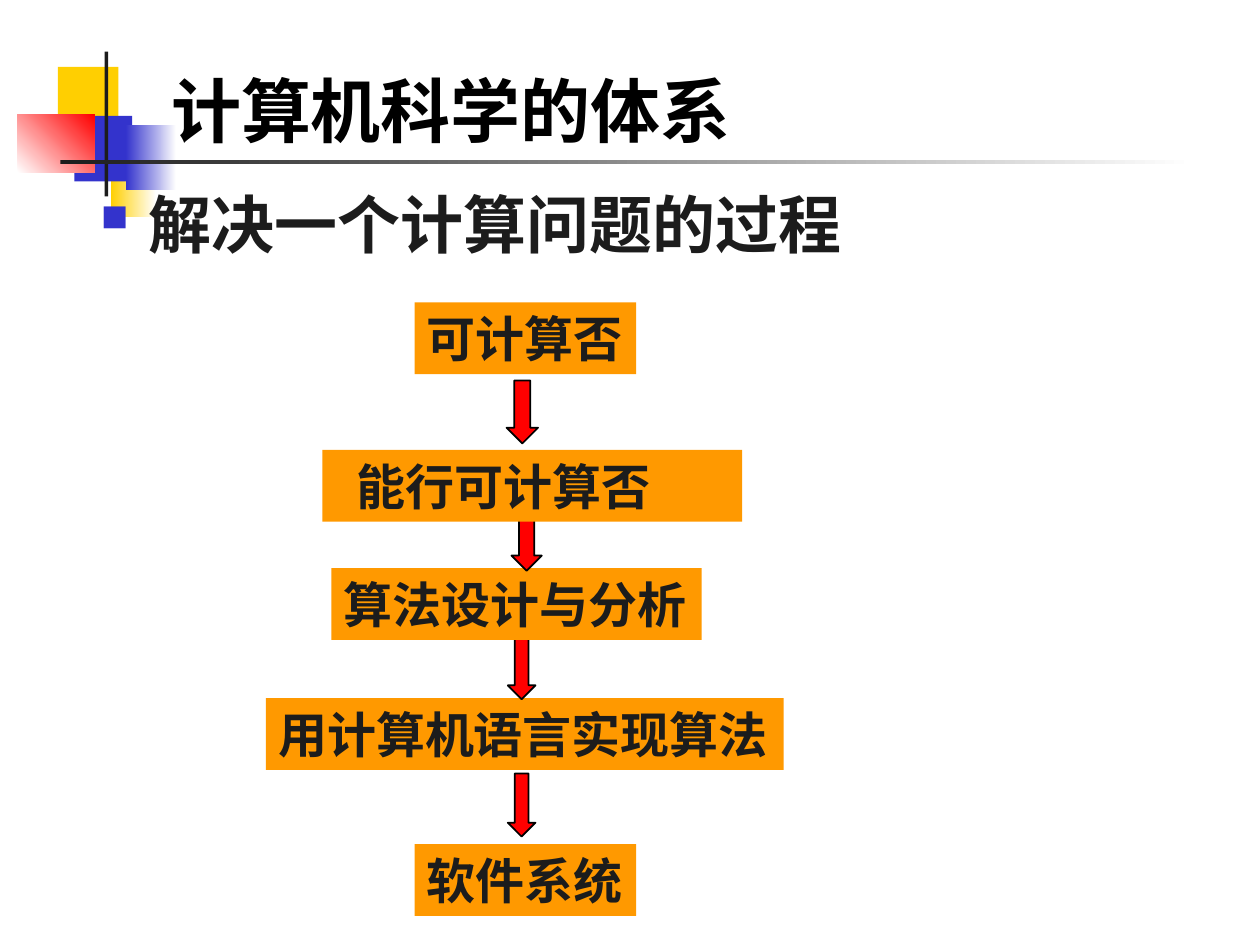
"""Build a slide showing the steps of solving a computing problem."""
from lxml.etree import SubElement
from pptx import Presentation
from pptx.dml.color import RGBColor
from pptx.enum.shapes import MSO_SHAPE
from pptx.enum.text import MSO_ANCHOR, PP_ALIGN
from pptx.oxml.ns import qn
from pptx.util import Inches, Pt

BLACK = RGBColor(0x00, 0x00, 0x00)
INK = RGBColor(0x1C, 0x1C, 0x1C)
WHITE = RGBColor(0xFF, 0xFF, 0xFF)
YELLOW = RGBColor(0xFF, 0xCF, 0x01)
BLUE = RGBColor(0x33, 0x33, 0xCC)
RED = RGBColor(0xFF, 0x00, 0x00)
ORANGE = RGBColor(0xFF, 0x99, 0x00)
COLUMNS = 100

deck = Presentation()
deck.slide_width, deck.slide_height = Inches(10), Inches(7.5)
page = deck.slides.add_slide(deck.slide_layouts[6])
unit = deck.slide_width // COLUMNS


def add_block(kind, column, row, width, height, start, end=None, angle=0):
    cells = [round(value * unit) for value in (column, row, width, height)]
    block = page.shapes.add_shape(kind, *cells)
    block.shadow.inherit = False
    block.line.fill.background()
    if end is None:
        block.fill.solid()
        block.fill.fore_color.rgb = start
    else:
        block.fill.gradient()
        block.fill.gradient_angle = angle
        for stop, color in zip(block.fill.gradient_stops, (start, end)):
            stop.color.rgb = color
    return block


def write(box, text, size, font, color, align=PP_ALIGN.LEFT):
    box.text_frame.word_wrap = True
    para = box.text_frame.paragraphs[0]
    para.text = text
    para.alignment = align
    para.font.size, para.font.bold = Pt(size), True
    para.font.name, para.font.color.rgb = font, color


ornaments = [
    (4.6, 5.3, 4.8, 5.2, YELLOW),
    (8.8, 12, 3.6, 5.2, YELLOW, WHITE),
    (5.9, 9.2, 4.6, 5.2, BLUE),
    (10, 9.9, 4, 5.2, BLUE, WHITE),
    (1.4, 9.1, 6.1, 4.6, WHITE, RED, 45),
    (8.3, 4.1, 0.3, 11.5, INK),
    (4.8, 12.7, 90, 0.35, INK, WHITE),
]
for ornament in ornaments:
    add_block(MSO_SHAPE.RECTANGLE, *ornament)

title = page.shapes.add_textbox(round(12.6 * unit), 0, round(85.2 * unit), round(12.5 * unit))
title.text_frame.vertical_anchor = MSO_ANCHOR.BOTTOM
write(title, "计算机科学的体系", 40, "Karla", BLACK)

body = page.shapes.add_textbox(7 * unit, round(14.2 * unit), round(90.9 * unit), round(52.9 * unit))
properties = body.text_frame.paragraphs[0]._p.get_or_add_pPr()
properties.set("marL", str(round(3.8 * unit)))
properties.set("indent", str(round(-3.8 * unit)))
bullet_color = SubElement(properties, qn("a:buClr"))
SubElement(bullet_color, qn("a:srgbClr"), val=str(BLUE))
SubElement(properties, qn("a:buSzPct"), val="60000")
SubElement(properties, qn("a:buChar"), char="■")
write(body, "解决一个计算问题的过程", 36, "Noto Sans CJK SC", INK, PP_ALIGN.JUSTIFY)

steps = [
    ("软件系统", 32.9, 67, 17.6, 1, (40.3, 61.4, 2.2)),
    ("用计算机语言实现算法", 21.1, 55.4, 41.1, 1, (40.3, 50.5, 2.2)),
    ("算法设计与分析", 26.3, 45.1, 29.4, 1, (40.6, 40.3, 2.4)),
    ("能行可计算否", 25.6, 35.7, 33.3, 2.7, (40.2, 30.2, 2.5)),
    ("可计算否", 32.9, 24, 17.6, 1, None),
]
for text, column, row, width, inset, arrow_place in steps:
    box = add_block(MSO_SHAPE.RECTANGLE, column, row, width, 5.7, ORANGE)
    frame = box.text_frame
    frame.margin_left, frame.margin_right = round(inset * unit), 0
    frame.vertical_anchor = MSO_ANCHOR.MIDDLE
    write(box, text, 28, "Noto Sans CJK SC", INK)
    if arrow_place:
        arrow_column, arrow_row, arrow_width = arrow_place
        arrow = add_block(MSO_SHAPE.DOWN_ARROW, arrow_column, arrow_row, arrow_width, 5, RED)
        arrow.line.color.rgb, arrow.line.width = BLACK, Pt(1)

deck.save("out.pptx")
